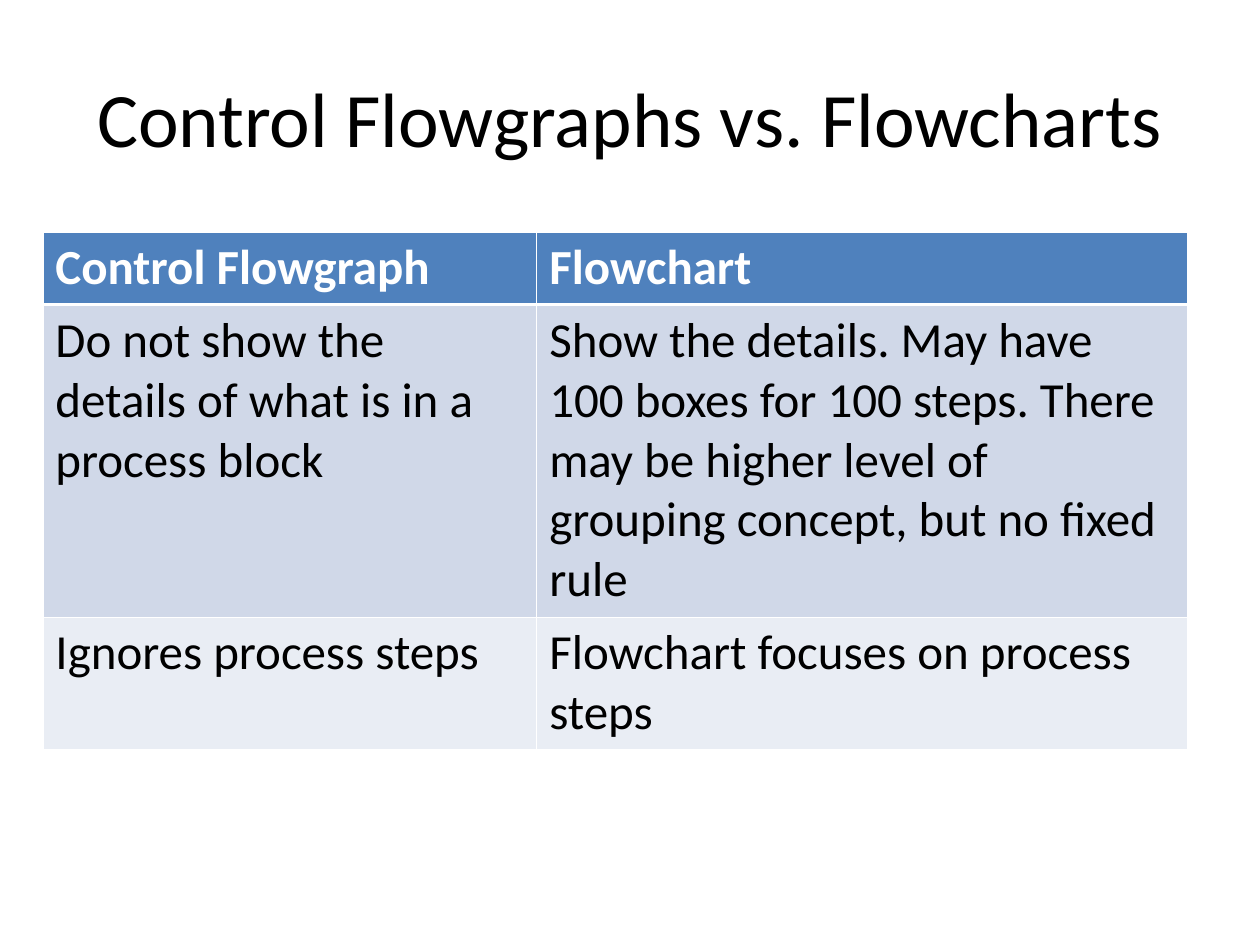
from pptx import Presentation
from pptx.dml.color import RGBColor
from pptx.enum.text import MSO_ANCHOR as Anchor, PP_ALIGN as Align
from pptx.oxml.ns import qn
from pptx.util import Inches, Pt
from lxml.etree import SubElement

FONT = "Calibri"
BLACK, WHITE = "000000", "FFFFFF"
THIN, THICK = 0.45, 1.47
COLUMN_WIDTHS = [3.92, 5.16]
ROW_HEIGHTS = [0.57, 2.48, 1.05]
ROW_FILLS = ["4F81BD", "D0D8E8", "E9EDF4"]
COMPARISON = [
    ("Control Flowgraph", "Flowchart"),
    ("Do not show the details of what is in a process block",
     "Show the details. May have 100 boxes for 100 steps. There may be "
     "higher level of grouping concept, but no fixed rule"),
    ("Ignores process steps", "Flowchart focuses on process steps"),
]


def color(hex_code):
    return RGBColor.from_string(hex_code)


def add_text(paragraph, text, size, hex_code, bold=False):
    run = paragraph.add_run()
    run.text = text
    run.font.name = FONT
    run.font.size = Pt(size)
    run.font.bold = bold
    run.font.color.rgb = color(hex_code)


def add_borders(cell, top, bottom):
    """Draw white borders; they must precede the fill in the cell XML."""
    properties = cell._tc.get_or_add_tcPr()
    for side, width in (("L", THIN), ("R", THIN), ("T", top), ("B", bottom)):
        border = SubElement(properties, qn(f"a:ln{side}"), w=str(Pt(width)))
        fill = SubElement(border, qn("a:solidFill"))
        SubElement(fill, qn("a:srgbClr"), val=WHITE)


def add_title(slide, text):
    title = slide.shapes.title
    title.left, title.top = Inches(0.5), Inches(0.3)
    title.width, title.height = Inches(9), Inches(1.25)
    title.text_frame.vertical_anchor = Anchor.MIDDLE
    heading = title.text_frame.paragraphs[0]
    heading.alignment = Align.CENTER
    add_text(heading, text, 44, BLACK)


def add_comparison(slide):
    table = slide.shapes.add_table(
        len(ROW_HEIGHTS), len(COLUMN_WIDTHS), Inches(0.34), Inches(1.84),
        Inches(sum(COLUMN_WIDTHS)), Inches(sum(ROW_HEIGHTS))).table
    for column, width in zip(table.columns, COLUMN_WIDTHS):
        column.width = Inches(width)
    for index, (row, height) in enumerate(zip(table.rows, ROW_HEIGHTS)):
        row.height = Inches(height)
        is_header = index == 0
        for cell, text in zip(row.cells, COMPARISON[index]):
            # The heavier line separates the header from the body
            add_borders(cell, THICK if index == 1 else THIN,
                        THICK if is_header else THIN)
            cell.fill.solid()
            cell.fill.fore_color.rgb = color(ROW_FILLS[index])
            add_text(cell.text_frame.paragraphs[0], text, 28,
                     WHITE if is_header else BLACK, is_header)


def main():
    deck = Presentation()
    deck.slide_width, deck.slide_height = Inches(10), Inches(7.5)
    title_only = deck.slide_layouts[5]
    slide = deck.slides.add_slide(title_only)
    add_title(slide, "Control Flowgraphs vs. Flowcharts")
    add_comparison(slide)
    deck.save("out.pptx")


if __name__ == "__main__":
    main()
